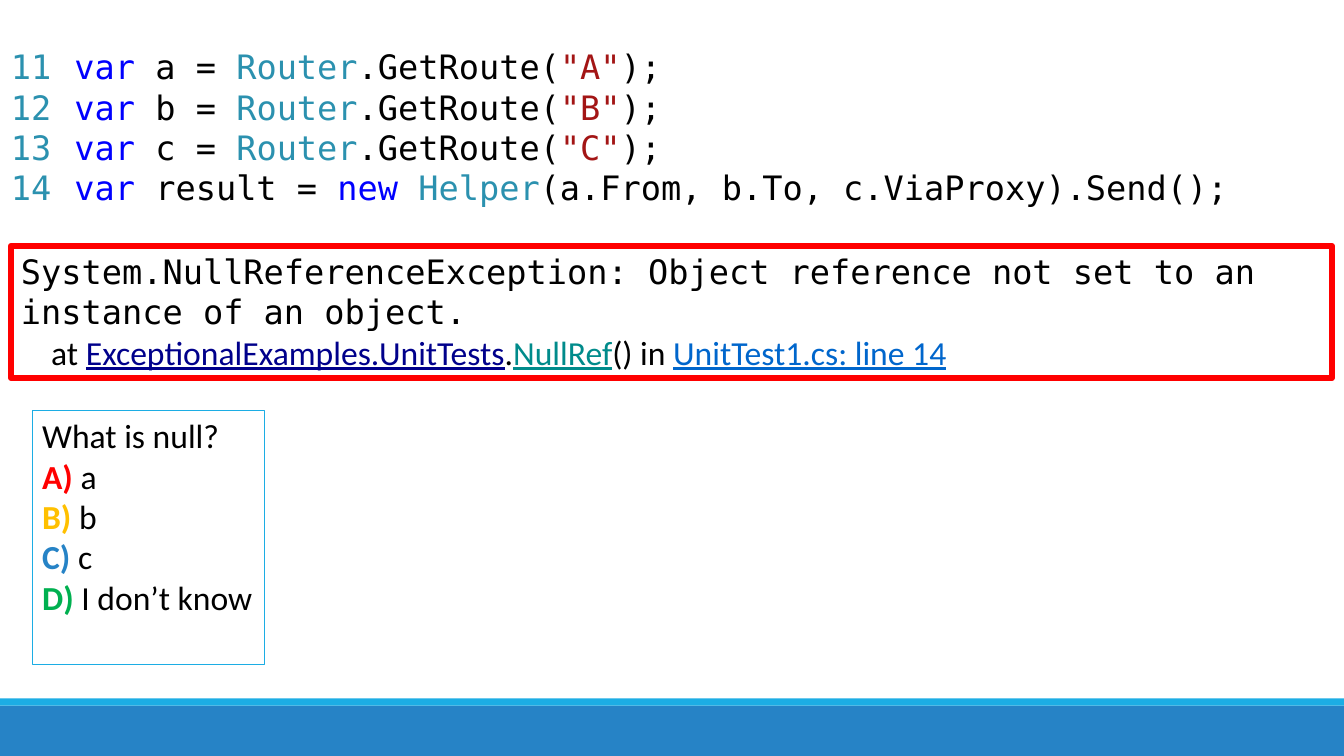
import pptx
import pptx.util
import pptx.dml.color
import pptx.enum.shapes
import pptx.enum.text

Inches = pptx.util.Inches
COLORS = {
    "text": "000000", "keyword": "0000FF", "type": "2B91AF", "string": "A31515",
    "error": "FF0000", "namespace": "00008B", "method": "008B8B", "file": "0066CC",
    "band": "2683C6", "accent": "1CADE4",
    "A": "FF0000", "B": "FFC000", "C": "2683C6", "D": "00B050",
}
MONO, SANS = "DejaVu Sans Mono", "Calibri"


def rgb(name):
    return pptx.dml.color.RGBColor.from_string(COLORS[name])


def add_run(p, text, color="text", font=MONO, bold=False, underline=False):
    r = p.add_run()
    r.text = text
    r.font.name = font
    r.font.size = pptx.util.Pt(24)
    r.font.color.rgb = rgb(color)
    r.font.bold = bold
    r.font.underline = underline


def add_lines(tf, lines, **fmt):
    """Write one paragraph per line; a line is a list of (text, color) runs."""
    for i, line in enumerate(lines):
        p = tf.paragraphs[0] if i == 0 else tf.add_paragraph()
        p.alignment = pptx.enum.text.PP_ALIGN.LEFT
        for text, color in line:
            add_run(p, text, color, **fmt)


def add_rect(slide, x, y, w, h, fill=None, line=None, weight=0.75):
    sp = slide.shapes.add_shape(pptx.enum.shapes.MSO_SHAPE.RECTANGLE,
                                Inches(x), Inches(y), Inches(w), Inches(h))
    sp.shadow.inherit = False
    if fill:
        sp.fill.solid()
        sp.fill.fore_color.rgb = rgb(fill)
    else:
        sp.fill.background()
    if line:
        sp.line.color.rgb = rgb(line)
        sp.line.width = pptx.util.Pt(weight)
    else:
        sp.line.fill.background()
    sp.text_frame.vertical_anchor = pptx.enum.text.MSO_ANCHOR.TOP
    return sp


def add_footer(slide, y, w, h):
    stripe = 0.07
    add_rect(slide, 0, y + stripe, w, h - stripe, fill="band")
    add_rect(slide, 0, y, w, stripe, fill="accent")


def add_code(slide, x, y, w, h):
    gutter = 0.63
    numbers = [[(str(n), "type")] for n in range(11, 15)]
    code = [[("var", "keyword"), (f" {name} = ", "text"), ("Router", "type"),
             (".GetRoute(", "text"), (f'"{name.upper()}"', "string"), (");", "text")]
            for name in "abc"]
    code.append([("var", "keyword"), (" result = ", "text"), ("new", "keyword"),
                 (" ", "text"), ("Helper", "type"),
                 ("(a.From, b.To, c.ViaProxy).Send();", "text")])
    for left, width, lines in ((x, gutter, numbers), (x + gutter, w - gutter, code)):
        tb = slide.shapes.add_textbox(Inches(left), Inches(y), Inches(width), Inches(h))
        tb.text_frame.word_wrap = True
        add_lines(tb.text_frame, lines)


def add_exception(slide, x, y, w, h):
    tf = add_rect(slide, x, y, w, h, line="error", weight=4.5).text_frame
    tf.word_wrap = True
    add_lines(tf, [[("System.NullReferenceException: Object reference not set "
                     "to an instance of an object.", "text")]])
    # Stack frame, indented under the message
    p = tf.add_paragraph()
    p.alignment = pptx.enum.text.PP_ALIGN.LEFT
    p._p.get_or_add_pPr().set("marL", str(Inches(0.3)))
    for text, color in (("at ", "text"), ("ExceptionalExamples.UnitTests", "namespace"),
                        (".", "text"), ("NullRef", "method"), ("() in ", "text"),
                        ("UnitTest1.cs: line 14", "file")):
        add_run(p, text, color, font=SANS, underline=color != "text")


def add_question(slide, x, y, w, h):
    tf = add_rect(slide, x, y, w, h, line="accent").text_frame
    tf.word_wrap = False
    add_lines(tf, [[("What is null?", "text")]], font=SANS)
    for letter, answer in zip("ABCD", ("a", "b", "c", "I don’t know")):
        p = tf.add_paragraph()
        p.alignment = pptx.enum.text.PP_ALIGN.LEFT
        add_run(p, f"{letter}) ", letter, font=SANS, bold=True)
        add_run(p, answer, font=SANS)


def main():
    prs = pptx.Presentation()
    prs.slide_width, prs.slide_height = Inches(13.33), Inches(7.5)
    slide = prs.slides.add_slide(prs.slide_layouts[6])
    add_footer(slide, 6.93, 13.33, 0.57)
    add_code(slide, 0.01, 0.41, 13.1, 1.72)
    add_exception(slide, 0.11, 2.44, 13.1, 1.31)
    add_question(slide, 0.32, 4.07, 2.3, 2.52)
    prs.save("out.pptx")


if __name__ == "__main__":
    main()
